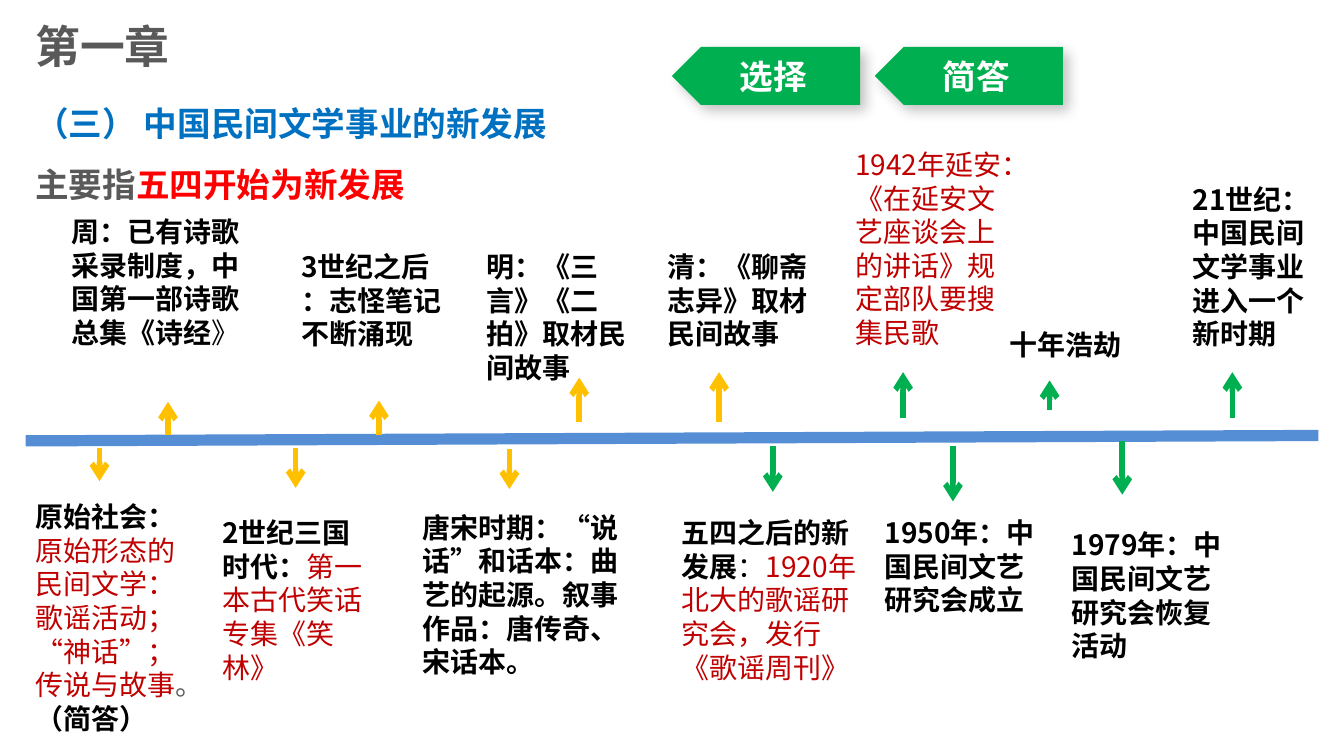
from lxml import etree
from pptx import Presentation
from pptx.dml.color import RGBColor
from pptx.enum import shapes, text
from pptx.oxml import ns
from pptx.util import Pt

FONT = "Noto Sans CJK SC"
BLACK = RGBColor(0x00, 0x00, 0x00)
GREY = RGBColor(0x59, 0x59, 0x59)
WHITE = RGBColor(0xFF, 0xFF, 0xFF)
RED = RGBColor(0xFF, 0x00, 0x00)
DARK_RED = RGBColor(0xC0, 0x00, 0x00)
HEADING_BLUE = RGBColor(0x00, 0x70, 0xC0)
AXIS_BLUE = RGBColor(0x55, 0x8E, 0xD5)
GOLD = RGBColor(0xFF, 0xC0, 0x00)
GREEN = RGBColor(0x00, 0xB0, 0x50)


def write(shape, paragraphs, size=15, wrap=True, grow=True, spacing=None,
          align=None, anchor=text.MSO_ANCHOR.TOP):
    """Fill a shape with paragraphs, each a list of (words, colour, bold)."""
    frame = shape.text_frame
    frame.word_wrap = wrap
    frame.vertical_anchor = anchor
    if grow:
        frame.auto_size = text.MSO_AUTO_SIZE.SHAPE_TO_FIT_TEXT
    frame.margin_left = frame.margin_right = Pt(5.3)
    frame.margin_top = frame.margin_bottom = Pt(2.7)
    for index, runs in enumerate(paragraphs):
        paragraph = frame.add_paragraph() if index else frame.paragraphs[0]
        paragraph.line_spacing = spacing
        paragraph.alignment = align
        for words, colour, bold in runs:
            run = paragraph.add_run()
            run.text = words
            run.font.size = Pt(size)
            run.font.bold = bold
            run.font.color.rgb = colour
            run.font.name = FONT
            etree.SubElement(run.font._element, ns.qn("a:ea"), typeface=FONT)


def draw_line(start, end, colour, width, arrow=False):
    line = slide.shapes.add_connector(
        shapes.MSO_CONNECTOR.STRAIGHT, *map(Pt, start + end))
    line.line.color.rgb = colour
    line.line.width = Pt(width)
    if arrow:
        etree.SubElement(line.line._get_or_add_ln(), ns.qn("a:tailEnd"), type="arrow")
    etree.SubElement(line._element.spPr, ns.qn("a:effectLst"))


prs = Presentation()
prs.slide_width, prs.slide_height = Pt(720), Pt(405)
slide = prs.slides.add_slide(prs.slide_layouts[6])

# Headings
chapter = slide.shapes.add_textbox(Pt(13.7), Pt(7.2), Pt(84.2), Pt(34.6))
write(chapter, [[("第一章", GREY, True)]], size=24, wrap=False)
section = slide.shapes.add_textbox(Pt(13.7), Pt(41.8), Pt(450.7), Pt(70.6))
write(section, [
    [("（三） 中国民间文学事业的新发展", HEADING_BLUE, True)],
    [("主要指", GREY, True), ("五四开始为新发展", RED, True)],
], size=18, spacing=1.5)

# Timeline: axis, then arrows as (x, start y, end y)
draw_line((13.7, 236.2), (706.3, 233.3), AXIS_BLUE, 6)
arrows = {
    GOLD: [
        (53.3, 239.8, 257.8), (90, 233.3, 215.3), (158.4, 239.8, 261.4),
        (203, 233.3, 214.6), (272.9, 240.5, 262), (310.3, 226, 202.3),
        (385.2, 226, 199.4),
    ],
    GREEN: [
        (414, 239, 263.5), (483.8, 224, 199.4), (510.5, 239, 268.6),
        (562.3, 219.6, 203.8), (601.2, 236.2, 265), (660.2, 224, 199.4),
    ],
}
for colour, places in arrows.items():
    for x, start_y, end_y in places:
        draw_line((x, start_y), (x, end_y), colour, 3, arrow=True)

# Events as (left, top, width, height, paragraphs)
events = [
    (13.7, 265, 96.5, 132.5, [[
        ("原始社会：", BLACK, True),
        ("原始形态的民间文学：歌谣活动； “神话”；传说与故事", DARK_RED, False),
        ("。", GREY, False), ("（简答）", BLACK, True)]]),
    (33.1, 112.3, 114.5, 77.8, [[
        ("周：已有诗歌采录制度，中国第一部诗歌总集《诗经", BLACK, True),
        ("》", BLACK, False)]]),
    (113.8, 273.6, 88.6, 94.3, [[
        ("2世纪三国时代：", BLACK, True),
        ("第一本古代笑话专集《笑林》", DARK_RED, False)]]),
    (156.2, 131, 93.6, 59.8, [
        [("3世纪之后", BLACK, True)],
        [("：志怪笔记不断涌现", BLACK, True)]]),
    (221, 270.7, 121.7, 96.5, [[
        ("唐宋时期：“说话”和话本：曲艺的起源。叙事作品：唐传奇、宋话本。", BLACK, True)]]),
    (255.6, 131, 88.6, 59.8, [[("明：《三言》《二拍》取材民间故事", BLACK, True)]]),
    (352.1, 131, 92.9, 59.8, [[("清：《聊斋志异》取材民间故事", BLACK, True)]]),
    (360, 273.6, 108.7, 96.5, [[
        ("五四之后的新发展", BLACK, True), ("：", BLACK, False),
        ("1920年北大的歌谣研究会，发行《歌谣周刊》", DARK_RED, False)]]),
    (452.9, 76.3, 95.8, 114.5, [[
        ("1942年延安：《在延安文艺座谈会上的讲话》规定部队要搜集民歌", DARK_RED, False)]]),
    (468.7, 273.6, 100.1, 59.8, [[("1950年：中国民间文艺研究会成立", BLACK, True)]]),
    (535.7, 172.8, 82.8, 23.8, [[("十年浩劫", BLACK, True)]]),
    (568.8, 280.1, 97.2, 78.5, [[("1979年：中国民间文艺研究会恢复活动", BLACK, True)]]),
    (633.6, 95, 72.7, 96.5, [[("21世纪：中国民间文学事业进入一个新时期", BLACK, True)]]),
]
for left, top, width, height, paragraphs in events:
    event = slide.shapes.add_textbox(Pt(left), Pt(top), Pt(width), Pt(height))
    write(event, paragraphs)

# Question-type tags, pointing left
for index, question_type in enumerate(["选择", "简答"]):
    tag = slide.shapes.add_shape(shapes.MSO_SHAPE.PENTAGON, Pt(360 + 108.7 * index),
                                 Pt(25.2), Pt(100.8), Pt(31))
    tag._element.spPr.xfrm.set("flipH", "1")
    tag.fill.solid()
    tag.fill.fore_color.rgb = GREEN
    tag.line.fill.background()
    tag.shadow.inherit = False
    effects = tag._element.spPr.find(ns.qn("a:effectLst"))
    shadow = etree.SubElement(effects, ns.qn("a:outerShdw"), blurRad=str(Pt(7)),
                              dist=str(Pt(4)), dir="2700000", rotWithShape="0")
    shade = etree.SubElement(shadow, ns.qn("a:srgbClr"), val=str(BLACK))
    etree.SubElement(shade, ns.qn("a:alpha"), val="24000")
    write(tag, [[(question_type, WHITE, True)]], size=18, grow=False,
          align=text.PP_ALIGN.CENTER, anchor=text.MSO_ANCHOR.MIDDLE)

prs.save("out.pptx")
